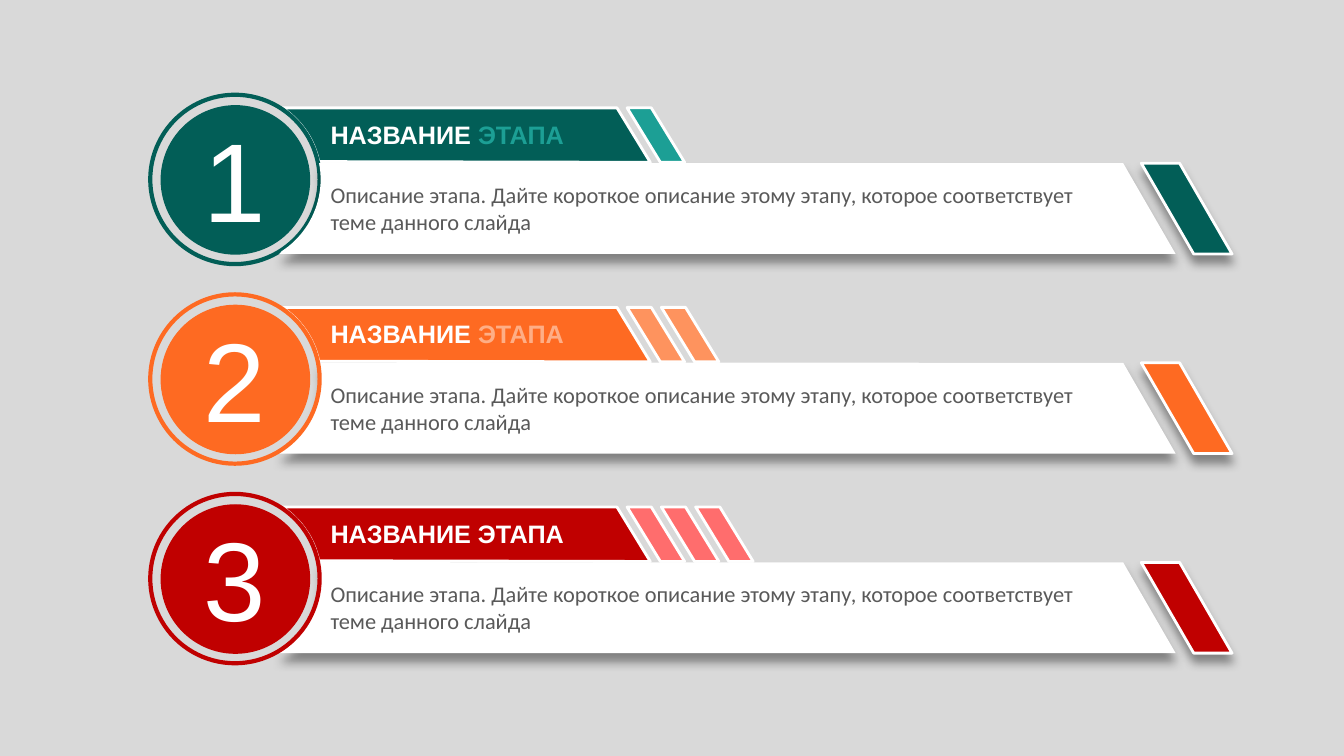
from math import cos, radians, sin

from lxml import etree
from pptx import Presentation
from pptx.dml.color import RGBColor
from pptx.enum.shapes import MSO_SHAPE
from pptx.enum.text import MSO_AUTO_SIZE, PP_ALIGN
from pptx.oxml.ns import qn
from pptx.util import Pt

PX = 9144  # 100 px to the inch
RECT, OVAL = MSO_SHAPE.RECTANGLE, MSO_SHAPE.OVAL
GROW, CENTER = MSO_AUTO_SIZE.SHAPE_TO_FIT_TEXT, PP_ALIGN.CENTER
WIDE, HIGH = 1333, 750
LEFT, TOP, PITCH = 149, 94, 198
RING, GAP = 168, 34

COLORS = {
    "back": "D9D9D9", "white": "FFFFFF", "grey": "595959", "black": "000000",
    "teal": "025E57", "mint": "1C9F95",
    "orange": "FE6A22", "peach": "FE935E", "sand": "FEAE86",
    "red": "C00000", "pink": "FF6D6D",
}
BODY = ("Описание этапа. Дайте короткое описание этому этапу, "
        "которое соответствует теме данного слайда")
# main colour, stripe colour, colour of the second title word
STAGES = [
    ("teal", "mint", "mint"),
    ("orange", "peach", "sand"),
    ("red", "pink", "white"),
]


def tint(name):
    return RGBColor.from_string(COLORS[name])


def paint(shape, fill=None, line=None, width=2):
    shape.shadow.inherit = False
    if fill:
        shape.fill.solid()
        shape.fill.fore_color.rgb = tint(fill)
    else:
        shape.fill.background()
    if line:
        shape.line.color.rgb = tint(line)
        shape.line.width = Pt(width)
    else:
        shape.line.fill.background()
    return shape


def shade(shape):
    """Drop a soft shadow straight down."""
    effects = shape.element.spPr.find(qn("a:effectLst"))
    outer = etree.SubElement(effects, qn("a:outerShdw"), blurRad=str(Pt(7)),
                             dist=str(Pt(6)), dir="5400000", algn="t",
                             rotWithShape="0")
    color = etree.SubElement(outer, qn("a:srgbClr"), val=COLORS["black"])
    etree.SubElement(color, qn("a:alpha"), val="40000")


def outline(shapes, points):
    spots = [(round(x * PX), round(y * PX)) for x, y in points]
    pen = shapes.build_freeform(*spots[0], scale=1.0)
    pen.add_line_segments(spots[1:], close=True)
    return pen.convert_to_shape()


def slash(shapes, x, y, wide, high, lean):
    return outline(shapes, [(x, y), (x + wide, y),
                            (x + wide + lean, y + high), (x + lean, y + high)])


def arc(x, y, start, end, steps=24):
    """Points just outside the ring of the row at x, y."""
    mid, radius = RING / 2, RING / 2 + 1
    turns = [radians(start + (end - start) * i / steps) for i in range(steps + 1)]
    return [(x + mid + radius * cos(t), y + mid + radius * sin(t)) for t in turns]


def oval(shapes, x, y, size):
    return shapes.add_shape(OVAL, x * PX, y * PX, size * PX, size * PX)


def write(shapes, x, y, wide, high, runs, size, face, bold=False, align=None):
    box = shapes.add_textbox(x * PX, y * PX, wide * PX, high * PX)
    frame = box.text_frame
    frame.word_wrap = True
    frame.auto_size = GROW
    para = frame.paragraphs[0]
    para.alignment = align
    para.font.size, para.font.name, para.font.bold = Pt(size), face, bold
    for text, color in runs:
        run = para.add_run()
        run.text = text
        run.font.color.rgb = tint(color)


def add_tab(shapes, x, y, main, light, count):
    edge = arc(x, y, -12, -57)
    tab = outline(shapes, [(x + 130, y + 13), (x + 463, y + 13),
                           (x + 496, y + 67)] + edge)
    paint(tab, main, "white")
    for i in range(count):
        paint(slash(shapes, x + 473 + i * GAP, y + 13, 24, 54, 33), light, "white")


def add_panel(shapes, x, y, main):
    edge = arc(x, y, 57, -11)
    panel = outline(shapes, [(x + 965, y + 68), (x + 1017, y + 158),
                             (x + 128, y + 158)] + edge)
    shade(paint(panel, "white"))
    shade(paint(slash(shapes, x + 983, y + 68, 38, 90, 52), main, "white"))


def add_stage(slide, x, y, number, main, light, accent):
    shapes = slide.shapes.add_group_shape().shapes
    add_tab(shapes, x, y, main, light, number)
    paint(oval(shapes, x + 11, y + 11, 147), main, main, 1)
    # The first panel overlaps its ring; the others lie under theirs
    if number == 1:
        paint(oval(shapes, x, y, RING), line=main, width=3)
    add_panel(shapes, x, y, main)
    if number > 1:
        paint(oval(shapes, x, y, RING), line=main, width=3)
    # Wording
    write(shapes, x + 43, y + 11, 80, 145, [(str(number), "white")], 80,
          "Arial", align=CENTER)
    write(shapes, x + 169, y + 19, 332, 40,
          [("НАЗВАНИЕ ", "white"), ("ЭТАПА", accent)], 18, "Arial", bold=True)
    write(shapes, x + 169, y + 81, 784, 64, [(BODY, "grey")], 16, "Calibri")


def main():
    deck = Presentation()
    deck.slide_width, deck.slide_height = WIDE * PX, HIGH * PX
    slide = deck.slides.add_slide(deck.slide_layouts[6])
    paint(slide.shapes.add_shape(RECT, 0, 0, WIDE * PX, HIGH * PX), "back")
    for i, stage in enumerate(STAGES):
        add_stage(slide, LEFT, TOP + i * PITCH, i + 1, *stage)
    deck.save("out.pptx")


if __name__ == "__main__":
    main()
